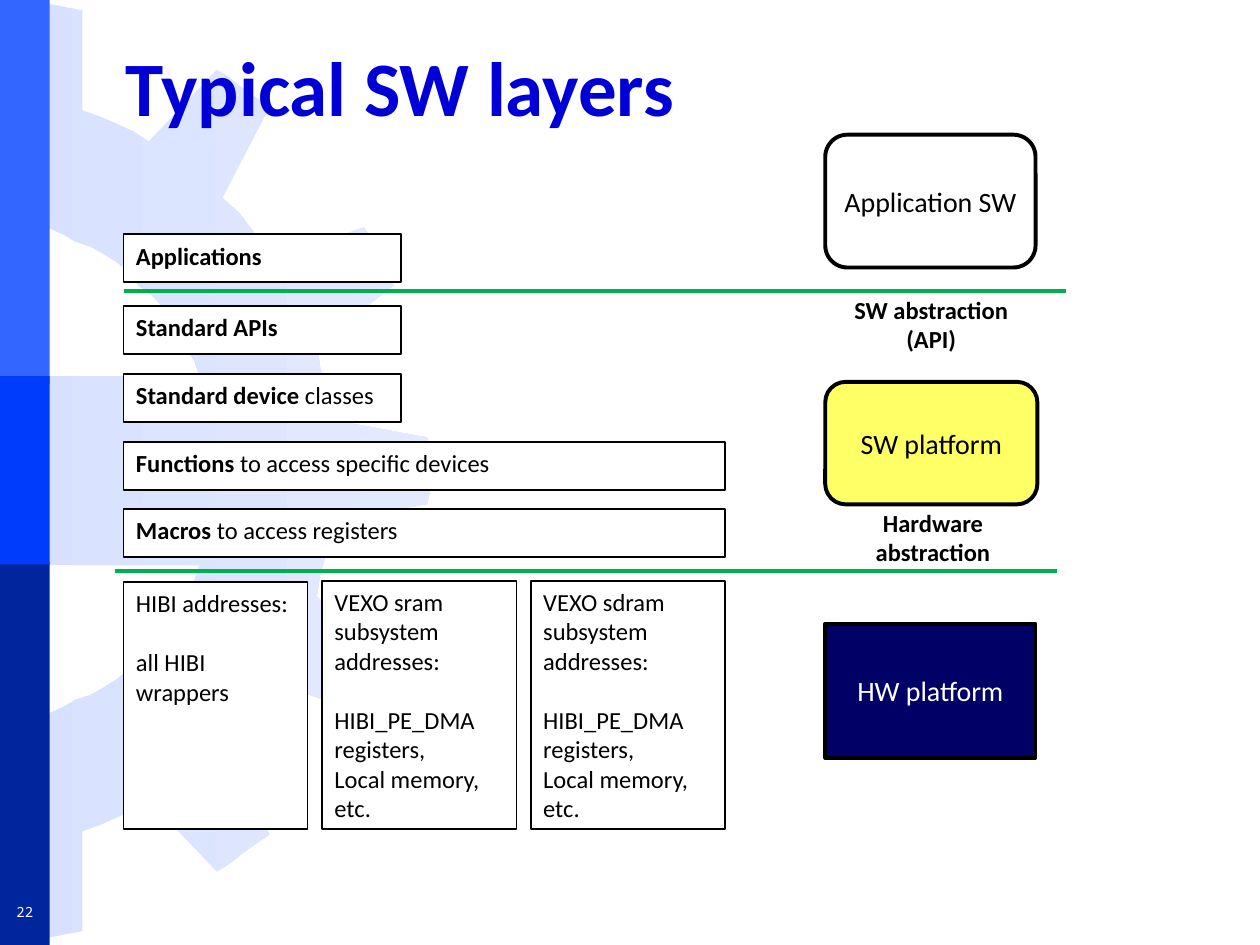
import pptx
import pptx.util
import pptx.dml.color
import pptx.enum.shapes
import pptx.enum.text
import pptx.oxml.ns
from lxml import etree

Pt = pptx.util.Pt
Kind = pptx.enum.shapes.MSO_SHAPE
Align = pptx.enum.text.PP_ALIGN
Anchor = pptx.enum.text.MSO_ANCHOR

HUES = {
    "white": "FFFFFF", "black": "000000", "title": "0000D6", "green": "00B050",
    "yellow": "FFFF66", "navy": "000066", "sky": "3366FF", "blue": "003CFC",
    "deep": "00259C", "gear": "D7E1FF", "pale": "E3EAFF",
}

# Upper half of the gear; the lower half mirrors it.
GEAR = [
    (0, 215), (114.5, 215), (111, 206), (106.5, 199), (103, 190), (97, 182),
    (92, 174), (86, 168), (79, 163), (74, 156), (67, 150), (59, 145),
    (52, 141), (43, 138), (36, 134), (27, 130), (19, 129.5), (9.4, 127),
    (9.4, 0), (19, 1), (27, 2), (37, 4), (47, 6), (47, 63), (58, 67),
    (67, 71), (76, 75), (85, 81), (124, 40), (132, 45), (138, 50),
    (145, 55), (154, 61), (127, 113), (137, 122), (143, 130), (149, 138),
    (157, 148), (208, 130), (213, 138), (217, 147), (221, 154), (225, 163),
    (181, 197), (183, 209.5), (186.5, 220), (189, 230), (190, 240),
    (244, 250), (245.5, 258), (245.5, 269),
]
STRIPS = [("sky", 0, 219.6), ("deep", 321, 219), ("blue", 215, 107.5)]  # hue, top, height

# top, width, bold part, plain part
LAYERS = [
    (133.9, 158.4, "Applications", ""),
    (175, 158.4, "Standard APIs", ""),
    (213.8, 158.4, "Standard device ", "classes"),
    (252.7, 343.6, "Functions", " to access specific devices"),
    (290.9, 343.6, "Macros", " to access registers"),
]
# left, top, width, heading, lines
MAPS = [
    (70.6, 332.6, 105.1, "HIBI addresses:", ["all HIBI wrappers"]),
    (184, 331.9, 111.2, "VEXO sram subsystem addresses:",
     ["HIBI_PE_DMA registers,", "Local memory, etc."]),
    (303.3, 331.9, 111.2, "VEXO sdram subsystem addresses:",
     ["HIBI_PE_DMA registers,", "Local memory, etc."]),
]
# text, kind, top, width, height, fill, text hue
STACK = [
    ("Application SW", Kind.ROUNDED_RECTANGLE, 77, 120.2, 75.9, "white", "black"),
    ("SW platform", Kind.ROUNDED_RECTANGLE, 218.2, 121.2, 70, "yellow", "black"),
    ("HW platform", Kind.RECTANGLE, 356.4, 120.2, 76.6, "navy", "white"),
]
NOTES = [("SW abstraction (API)", 471.6, 164.9, 121), ("Hardware abstraction", 490.3, 286.6, 85.7)]
RULES = [(70.6, 166.2), (65.5, 326.2)]  # left, height on the slide
LEFT, STACK_X, SPAN = 70.6, 471.6, 538.6
MAP_END = 473.8
GAP = 17  # one line of body text


def rgb(name):
    return pptx.dml.color.RGBColor.from_string(HUES[name])


def write(shape, paras, size=14, hue="black", bold=False, align=Align.LEFT,
          anchor=Anchor.TOP, wrap=True, font="Calibri", gap=0):
    """Fill a shape with paragraphs of (text, bold) runs; gap precedes the second one."""
    frame = shape.text_frame
    frame.word_wrap = wrap
    frame.vertical_anchor = anchor
    if isinstance(paras, str):
        paras = [[(paras, bold)]]
    for i, runs in enumerate(paras):
        para = frame.add_paragraph() if i else frame.paragraphs[0]
        para.alignment = align
        if i == 1 and gap:
            para.space_before = Pt(gap)
        for text, strong in runs:
            run = para.add_run()
            run.text = text
            run.font.name = font
            run.font.size = Pt(size)
            run.font.bold = strong
            run.font.color.rgb = rgb(hue)


def block(shapes, box, fill, kind=Kind.RECTANGLE, line=None):
    shape = shapes.add_shape(kind, *map(Pt, box))
    shape.shadow.inherit = False
    shape.fill.solid()
    shape.fill.fore_color.rgb = rgb(fill)
    if line:
        shape.line.color.rgb = rgb("black")
        shape.line.width = Pt(line)
    else:
        shape.line.fill.background()
    return shape


def label(shapes, box, text, **style):
    write(shapes.add_textbox(*map(Pt, box)), text, **style)


def rule(shapes, x, y):
    line = shapes.add_connector(pptx.enum.shapes.MSO_CONNECTOR.STRAIGHT,
                                Pt(x), Pt(y), Pt(x + SPAN), Pt(y))
    line.line.color.rgb = rgb("green")
    line.line.width = Pt(2.25)
    etree.SubElement(line._element.spPr, pptx.oxml.ns.qn("a:effectLst"))


def gear(shapes):
    outline = GEAR + [(x, 538 - y) for x, y in reversed(GEAR[:-1])]
    pen = shapes.build_freeform(*outline[0], scale=Pt(1))
    pen.add_line_segments(outline[1:], close=True)
    shape = pen.convert_to_shape()
    shape.shadow.inherit = False
    shape.line.fill.background()
    shape.fill.gradient()
    shape.fill.gradient_angle = 0
    for stop, (name, place) in zip(shape.fill.gradient_stops, [("gear", 0), ("pale", 1)]):
        stop.color.rgb = rgb(name)
        stop.position = place


def main():
    deck = pptx.Presentation()
    deck.slide_width, deck.slide_height = Pt(720), Pt(540)
    shapes = deck.slides.add_slide(deck.slide_layouts[6]).shapes

    gear(shapes)
    for hue, top, high in STRIPS:
        block(shapes, (0, top, 28.4, high), hue)
    label(shapes, (64.8, 15.1, 623.5, 67.7), "Typical SW layers", size=44,
          hue="title", bold=True, anchor=Anchor.MIDDLE)
    label(shapes, (0, 511.9, 28.4, 18.7), "22", size=8, hue="white", wrap=False,
          align=Align.CENTER, anchor=Anchor.MIDDLE, font="Noto Sans Mono")

    for text, kind, top, wide, high, fill, hue in STACK:
        shape = block(shapes, (STACK_X, top, wide, high), fill, kind, 2.25)
        write(shape, text, size=16, hue=hue, align=Align.CENTER,
              anchor=Anchor.MIDDLE, wrap=False)
    for text, x, y, wide in NOTES:
        label(shapes, (x, y, wide, 41), text, bold=True, align=Align.CENTER)

    for x, y, wide, head, lines in MAPS:
        shape = block(shapes, (x, y, wide, MAP_END - y), "white", line=1)
        write(shape, [[(text, False)] for text in [head] + lines], gap=GAP)
    for top, wide, strong, plain in LAYERS:
        shape = block(shapes, (LEFT, top, wide, 27.4), "white", line=1)
        runs = [(strong, True)] + ([(plain, False)] if plain else [])
        write(shape, [runs])
    for x, y in RULES:
        rule(shapes, x, y)

    deck.save("out.pptx")


if __name__ == "__main__":
    main()
